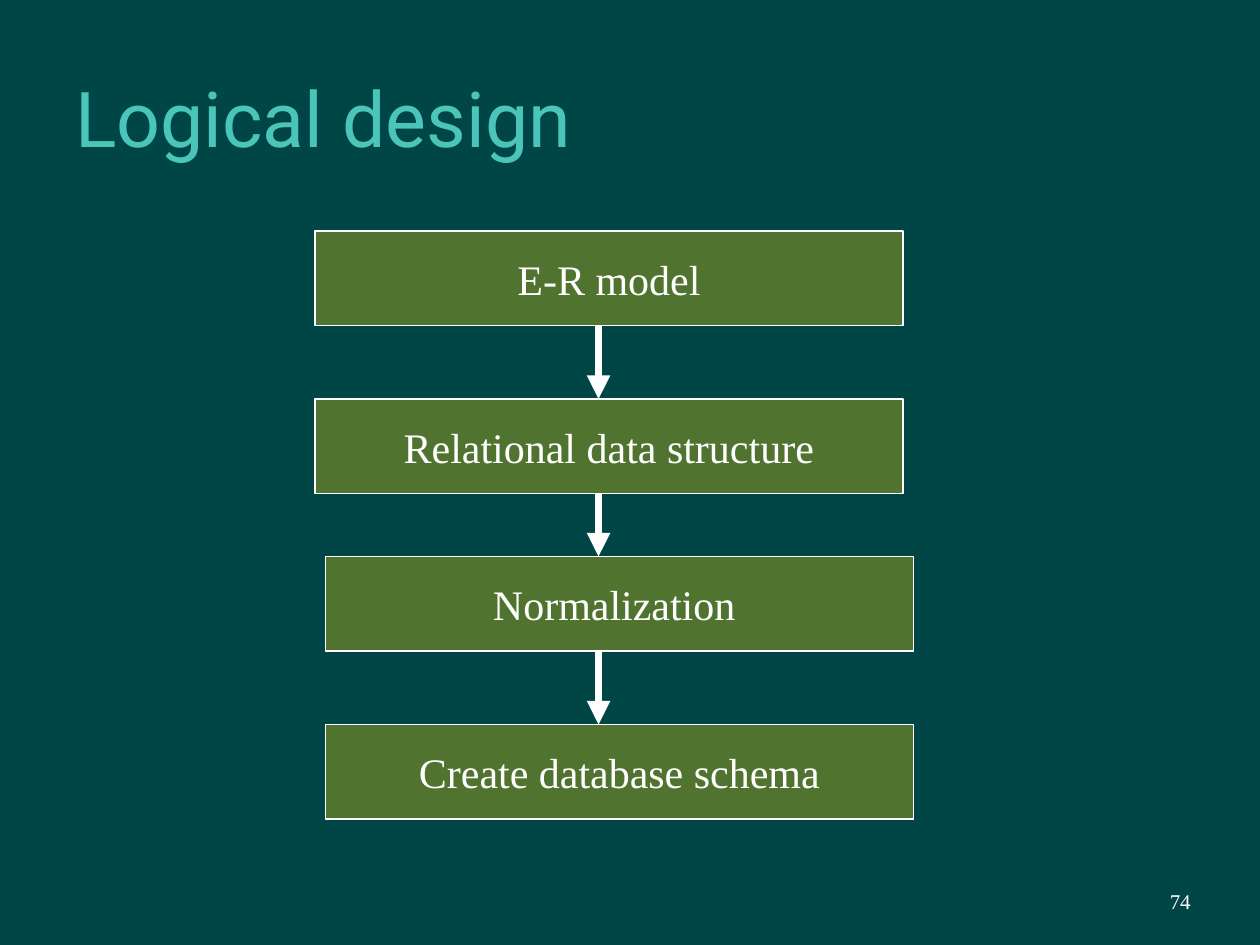
from dataclasses import dataclass
from itertools import pairwise

from lxml.etree import SubElement
from pptx import Presentation
from pptx.dml.color import RGBColor
from pptx.enum.shapes import MSO_CONNECTOR, MSO_SHAPE
from pptx.enum.text import MSO_ANCHOR, PP_ALIGN
from pptx.oxml.ns import qn
from pptx.util import Pt


@dataclass(frozen=True)
class Theme:
    background: str = "004646"
    title: str = "4BC5B9"
    box: str = "50742F"
    light: str = "FFFFFF"
    title_font: str = "Roboto"
    body_font: str = "Times New Roman"
    title_size: float = 44
    box_size: float = 24
    number_size: float = 12
    border: float = 0.75
    arrow: float = 4.5


class SlideBuilder:
    def __init__(self, slide, theme):
        self.slide = slide
        self.theme = theme
        fill = slide.background.fill
        fill.solid()
        fill.fore_color.rgb = RGBColor.from_string(theme.background)

    def set_text(self, sp, text, size, font, color, align, side=7.2):
        tf = sp.text_frame
        tf.word_wrap = True
        tf.vertical_anchor = MSO_ANCHOR.MIDDLE
        tf.margin_left = tf.margin_right = Pt(side)
        tf.margin_top = tf.margin_bottom = Pt(3.6)
        p = tf.paragraphs[0]
        p.alignment = align
        r = p.add_run()
        r.text = text
        r.font.size = Pt(size)
        r.font.name = font
        r.font.color.rgb = RGBColor.from_string(color)

    def title(self, text, *frame):
        t = self.theme
        sp = self.slide.shapes.add_textbox(*map(Pt, frame))
        self.set_text(sp, text, t.title_size, t.title_font, t.title, PP_ALIGN.LEFT)

    def number(self, text, *frame):
        t = self.theme
        sp = self.slide.shapes.add_textbox(*map(Pt, frame))
        self.set_text(sp, text, t.number_size, t.body_font, t.light, PP_ALIGN.RIGHT, 3.6)

    def box(self, text, *frame):
        t = self.theme
        sp = self.slide.shapes.add_shape(MSO_SHAPE.RECTANGLE, *map(Pt, frame))
        sp.shadow.inherit = False
        sp.fill.solid()
        sp.fill.fore_color.rgb = RGBColor.from_string(t.box)
        sp.line.color.rgb = RGBColor.from_string(t.light)
        sp.line.width = Pt(t.border)
        self.set_text(sp, text, t.box_size, t.body_font, t.light, PP_ALIGN.CENTER)

    def down_arrow(self, x, top, bottom):
        t = self.theme
        cxn = self.slide.shapes.add_connector(
            MSO_CONNECTOR.STRAIGHT, Pt(x), Pt(top), Pt(x), Pt(bottom))
        cxn.line.color.rgb = RGBColor.from_string(t.light)
        cxn.line.width = Pt(t.arrow)
        sp_pr = cxn._element.spPr
        SubElement(sp_pr.find(qn("a:ln")), qn("a:tailEnd"), type="triangle")
        SubElement(sp_pr, qn("a:effectLst"))


def main():
    prs = Presentation()
    prs.slide_width, prs.slide_height = Pt(720), Pt(540)
    s = SlideBuilder(prs.slides.add_slide(prs.slide_layouts[6]), Theme())

    s.title("Logical design", 36, 21.6, 612, 90)
    s.number("74", 516, 500.4, 168, 28.8)

    box_width, box_height, arrow_x = 336, 54, 342
    steps = [
        ("E-R model", 180, 132),
        ("Relational data structure", 180, 228),
        ("Normalization ", 186, 318),
        ("Create database schema", 186, 414),
    ]
    for text, left, top in steps:
        s.box(text, left, top, box_width, box_height)
    for (_, _, top), (_, _, next_top) in pairwise(steps):
        s.down_arrow(arrow_x, top + box_height, next_top)

    prs.save("out.pptx")


if __name__ == "__main__":
    main()
